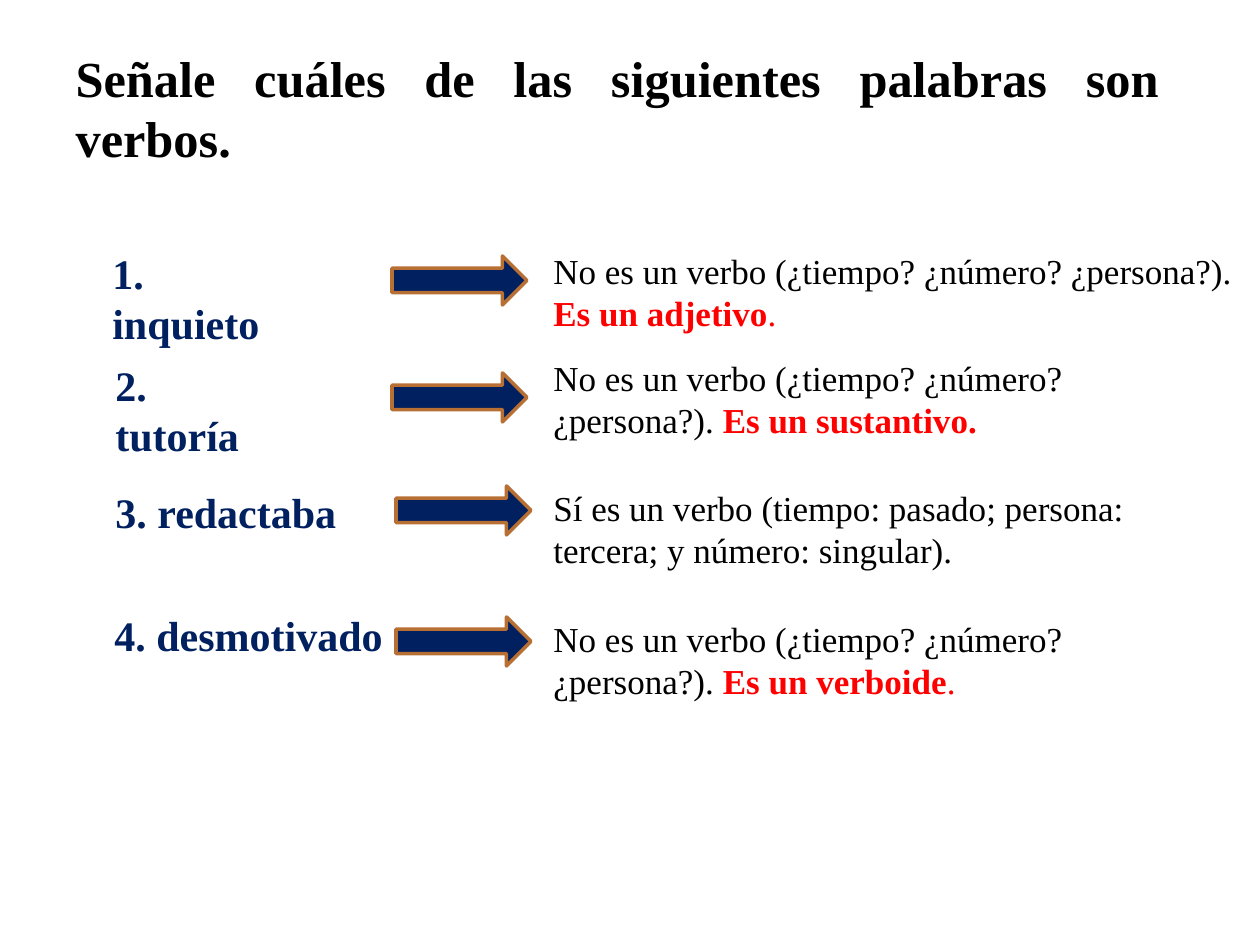
from pptx import Presentation
from pptx.dml.color import RGBColor
from pptx.enum import shapes, text
from pptx.util import Pt

PX = 914400 / 126
FONT = "Times New Roman"
BLACK = RGBColor(0x00, 0x00, 0x00)
NAVY = RGBColor(0x00, 0x20, 0x60)
RED = RGBColor(0xFF, 0x00, 0x00)
BROWN = RGBColor(0xB7, 0x6F, 0x34)

PLAIN = {"size": Pt(20), "color": BLACK, "bold": False}
STRONG = {"size": Pt(20), "color": RED, "bold": True}
DOT = {"size": Pt(20), "color": RED, "bold": False}
WORD = {"size": Pt(24), "color": NAVY, "bold": True}
HEAD = {"size": Pt(28.8), "color": BLACK, "bold": True}

TITLE = "Señale cuáles de las siguientes palabras son verbos."
NOT_VERB = "No es un verbo (¿tiempo? ¿número? ¿persona?). "
VERB = "Sí es un verbo (tiempo: pasado; persona: tercera; y número: singular)."

# Each part: word and (left, top, width); arrow (left, top);
# answer runs and (top, width)
ROWS = [
    ("1. inquieto", (100, 241, 212), (392, 256),
     [(NOT_VERB, PLAIN), ("Es un adjetivo", STRONG), (".", DOT)], (243, 705)),
    ("2. tutoría", (103, 353, 185), (392, 373),
     [(NOT_VERB, PLAIN), ("Es un sustantivo.", STRONG)], (350, 665)),
    ("3. redactaba", (103, 480, 333), (396, 486),
     [(VERB, PLAIN)], (480, 665)),
    ("4. desmotivado", (102, 603, 296), (396, 617),
     [(NOT_VERB, PLAIN), ("Es un verboide", STRONG), (".", DOT)], (611, 684)),
]
ANSWER_X = 541
WORD_H, ANSWER_H = 64, 97
ARROW_W, ARROW_H = 135, 49


def px(*nums):
    return [round(n * PX) for n in nums]


def write(par, runs):
    for words, style in runs:
        run = par.add_run()
        run.text = words
        run.font.name = FONT
        run.font.color.rgb = style["color"]
        for key in ("size", "bold"):
            setattr(run.font, key, style[key])


def add_text(slide, box, runs):
    frame = slide.shapes.add_textbox(*px(*box)).text_frame
    frame.word_wrap = True
    frame.auto_size = text.MSO_AUTO_SIZE.SHAPE_TO_FIT_TEXT
    write(frame.paragraphs[0], runs)


def add_arrow(slide, left, top):
    arrow = slide.shapes.add_shape(shapes.MSO_SHAPE.RIGHT_ARROW,
                                   *px(left, top, ARROW_W, ARROW_H))
    arrow.shadow.inherit = False
    arrow.fill.solid()
    arrow.fill.fore_color.rgb = NAVY
    arrow.line.color.rgb = BROWN
    arrow.line.width = Pt(2)


def add_title(slide):
    title = slide.shapes.title
    title.left, title.top, title.width, title.height = px(63, 39, 1109, 137)
    frame = title.text_frame
    frame.vertical_anchor = text.MSO_ANCHOR.MIDDLE
    par = frame.paragraphs[0]
    par.alignment = text.PP_ALIGN.JUSTIFY
    write(par, [(TITLE, HEAD)])


def main():
    deck = Presentation()
    deck.slide_width, deck.slide_height = px(1260, 945)
    slide = deck.slides.add_slide(deck.slide_layouts[5])
    add_title(slide)
    for word, spot, arrow, runs, (top, width) in ROWS:
        add_text(slide, (*spot, WORD_H), [(word, WORD)])
        add_text(slide, (ANSWER_X, top, width, ANSWER_H), runs)
        add_arrow(slide, *arrow)
    deck.save("out.pptx")


if __name__ == "__main__":
    main()
